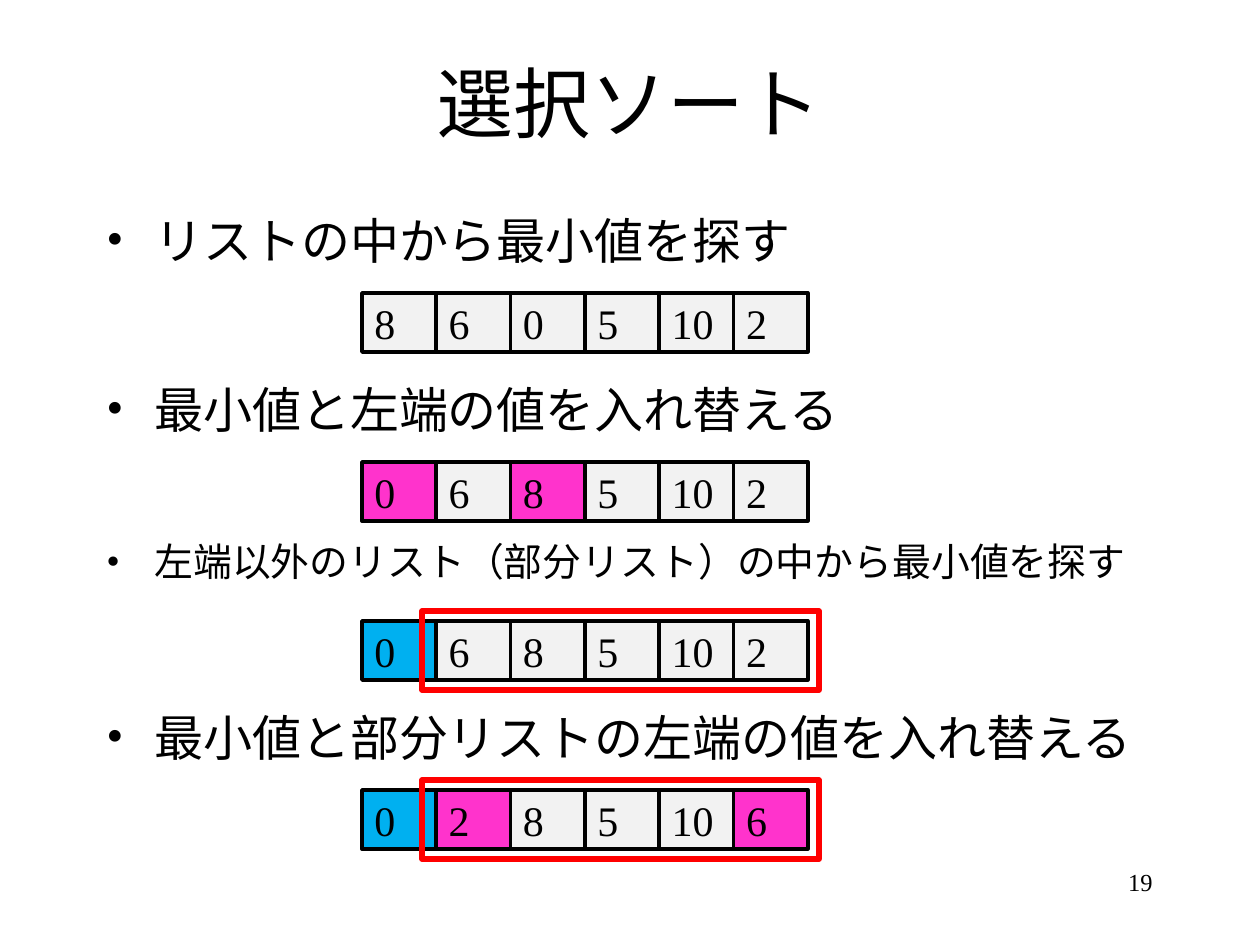
from lxml.etree import SubElement
from pptx import Presentation
from pptx.dml.color import RGBColor
from pptx.enum.shapes import MSO_SHAPE
from pptx.enum.text import MSO_ANCHOR, PP_ALIGN
from pptx.oxml.ns import qn
from pptx.util import Emu, Pt

COLORS = {
    "text": "000000",
    "plain": "F2F2F2",
    "swapped": "FF33CC",
    "sorted": "00B0F0",
    "sublist": "FF0000",
}
FONT = "Times New Roman"


def px(length):
    return Emu(round(length * 914400 / 126))


def write_text(box, text, size, align=PP_ALIGN.LEFT, anchor=MSO_ANCHOR.TOP,
               wrap=True, space_before=0, bullet=False):
    frame = box.text_frame
    frame.word_wrap = wrap
    frame.vertical_anchor = anchor
    para = frame.paragraphs[0]
    para.alignment = align
    para.space_before = Pt(space_before)
    span = para.add_run()
    span.text = text
    span.font.name = FONT
    span.font.size = Pt(size)
    span.font.color.rgb = RGBColor.from_string(COLORS["text"])
    if bullet:
        properties = para._p.get_or_add_pPr()
        properties.set("marL", str(px(48)))
        properties.set("indent", str(-px(48)))
        SubElement(properties, qn("a:buFont"), typeface=FONT)
        SubElement(properties, qn("a:buChar"), char="•")


deck = Presentation()
deck.slide_width, deck.slide_height = px(1260), px(945)
page = deck.slides.add_slide(deck.slide_layouts[6])

title = page.shapes.add_textbox(px(94), px(0), px(1071), px(204))
write_text(title, "選択ソート", 44, align=PP_ALIGN.CENTER, anchor=MSO_ANCHOR.MIDDLE)

number = page.shapes.add_textbox(px(903), px(861), px(262), px(63))
write_text(number, "19", 14, align=PP_ALIGN.RIGHT)

# Each step: top, sentence, text size, list values, highlighted columns, sublist frame
steps = [
    (204, "リストの中から最小値を探す", 28, [8, 6, 0, 5, 10, 2], {}, False),
    (373, "最小値と左端の値を入れ替える", 28, [0, 6, 8, 5, 10, 2],
     {0: "swapped", 2: "swapped"}, False),
    (532, "左端以外のリスト（部分リスト）の中から最小値を探す", 22.2,
     [0, 6, 8, 5, 10, 2], {0: "sorted"}, True),
    (701, "最小値と部分リストの左端の値を入れ替える", 28, [0, 2, 8, 5, 10, 6],
     {0: "sorted", 1: "swapped", 5: "swapped"}, True),
]
SENTENCE_HEIGHT = 89
LIST_LEFT, LIST_WIDTH, CELL_HEIGHT = 362, 446, 59

for top, sentence, size, values, highlights, has_sublist in steps:
    box = page.shapes.add_textbox(px(94), px(top), px(1091), px(SENTENCE_HEIGHT))
    write_text(box, sentence, size, space_before=size / 4, bullet=True)

    list_top = top + SENTENCE_HEIGHT
    cell_width = LIST_WIDTH / len(values)
    for column, value in enumerate(values):
        cell = page.shapes.add_shape(
            MSO_SHAPE.RECTANGLE, px(LIST_LEFT + column * cell_width), px(list_top),
            px(cell_width), px(CELL_HEIGHT))
        cell.shadow.inherit = False
        cell.fill.solid()
        cell.fill.fore_color.rgb = RGBColor.from_string(
            COLORS[highlights.get(column, "plain")])
        cell.line.color.rgb = RGBColor.from_string(COLORS["text"])
        cell.line.width = Pt(2)
        write_text(cell, str(value), 24, anchor=MSO_ANCHOR.MIDDLE, wrap=False)

    if has_sublist:
        sublist = page.shapes.add_shape(
            MSO_SHAPE.RECTANGLE, px(422), px(list_top - 10), px(397), px(CELL_HEIGHT + 20))
        sublist.shadow.inherit = False
        sublist.fill.background()
        sublist.line.color.rgb = RGBColor.from_string(COLORS["sublist"])
        sublist.line.width = Pt(3)

deck.save("out.pptx")
